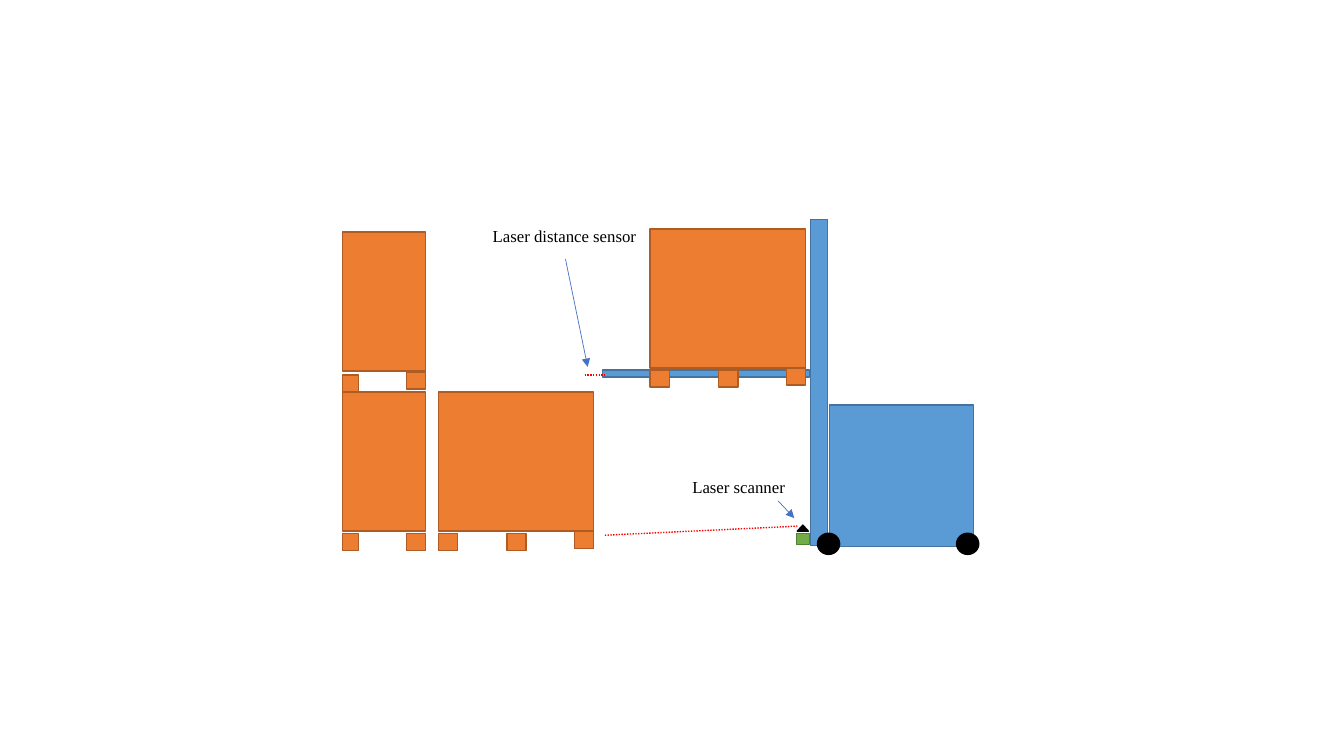
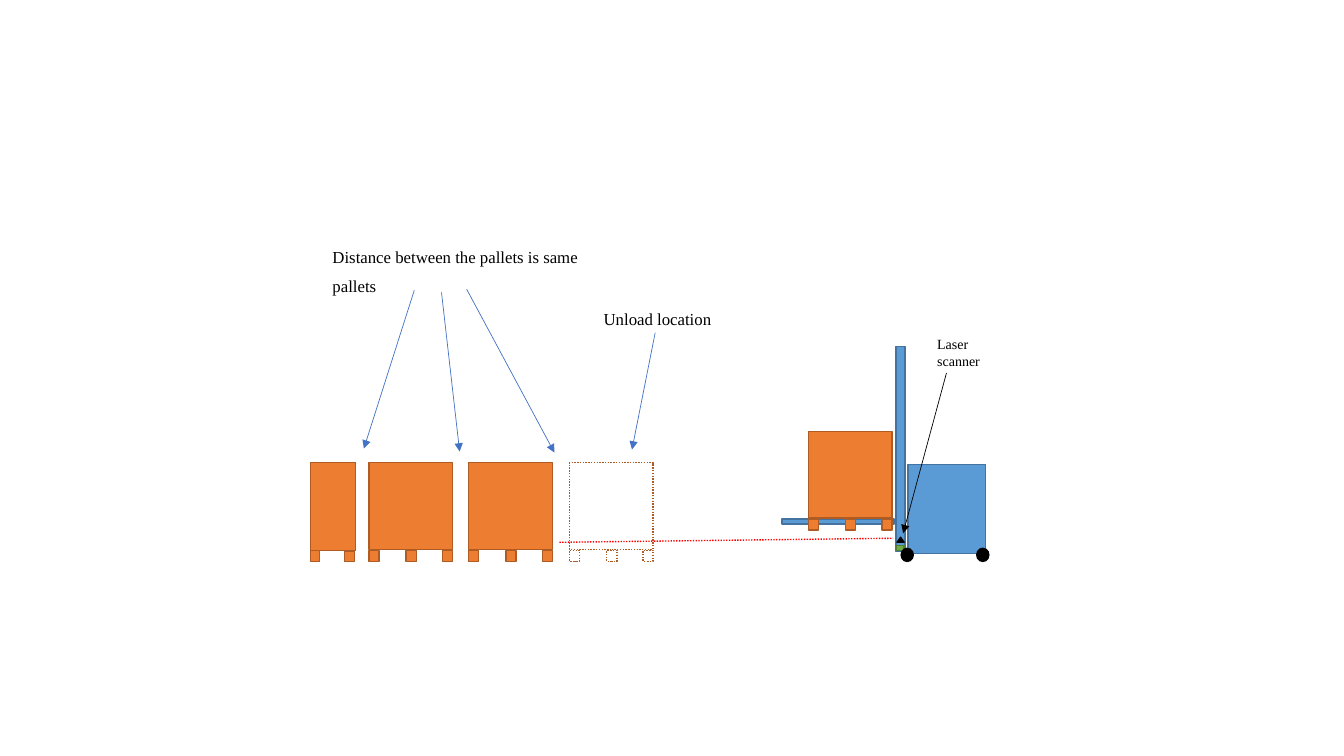
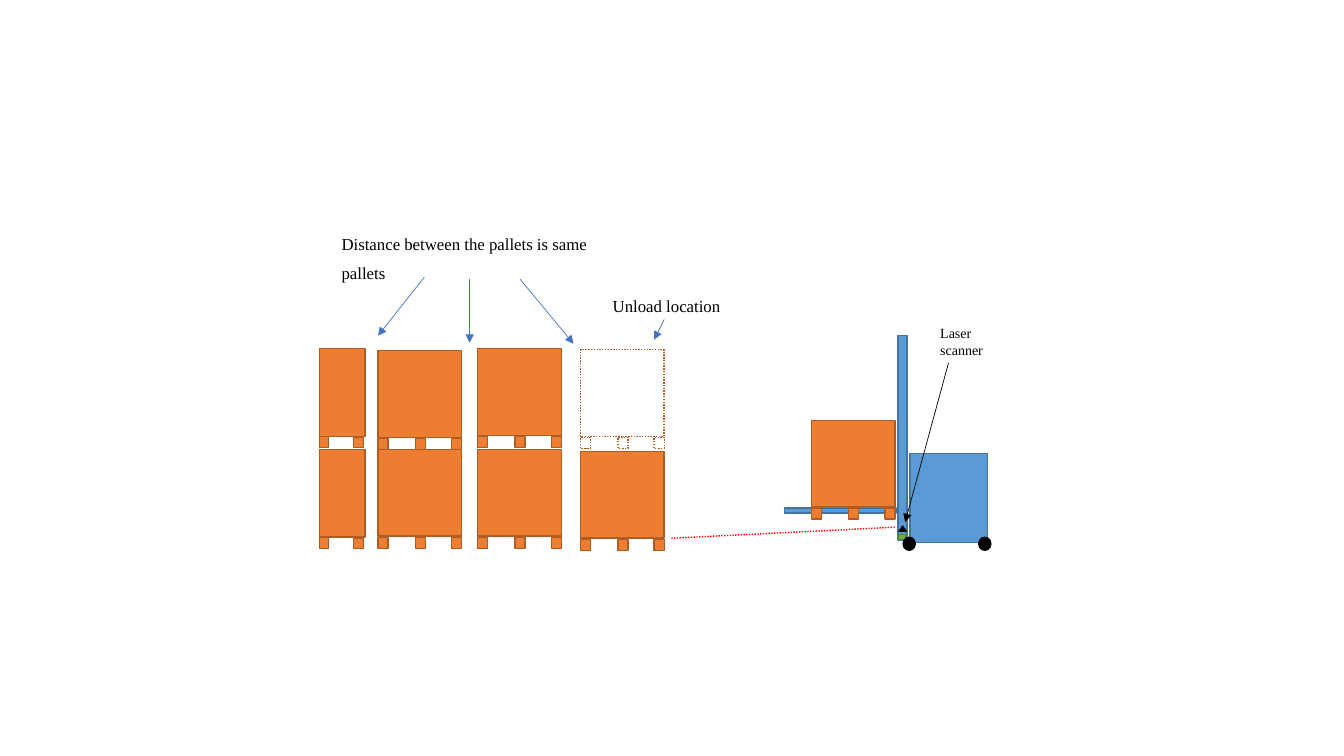
from lxml.etree import SubElement
from pptx import Presentation
from pptx.dml.color import RGBColor
from pptx.enum.dml import MSO_LINE
from pptx.enum.shapes import MSO_CONNECTOR, MSO_SHAPE
from pptx.oxml.ns import qn
from pptx.util import Inches, Pt

PX = 9144  # EMU in one px, a hundredth of an inch
FONT = "Times New Roman"
COLORS = {
    "orange": "ED7D31", "brown": "AF5C24",
    "blue": "5B9BD5", "steel": "43739E",
    "green": "70AD47", "moss": "538035",
    "black": "000000", "white": "FFFFFF",
    "red": "FF0000", "arrow": "4472C4",
}
RGB = {name: RGBColor.from_string(value) for name, value in COLORS.items()}

# fill, outline, dash
STYLES = {
    "pallet": ("orange", "brown", None),
    "vacant": ("white", "brown", MSO_LINE.ROUND_DOT),
    "truck": ("blue", "steel", None),
    "scanner": ("green", "moss", None),
    "black": ("black", "black", None),
}
# colour, width in points, dash, arrowhead
LINE_STYLES = {
    "laser": ("red", 1, MSO_LINE.ROUND_DOT, False),
    "pointer": ("arrow", 0.5, None, True),
    "black pointer": ("black", 0.5, None, True),
}
RECTANGLE, OVAL, TRIANGLE = MSO_SHAPE.RECTANGLE, MSO_SHAPE.OVAL, MSO_SHAPE.ISOSCELES_TRIANGLE

# Every stencil lists: preset, style, left, top, width, height from its own corner
STENCILS = {}
for name, boxes in {
    "large pallet": [(0, 0, 154, 138), (0, 140, 19, 17), (68, 140, 19, 17), (135, 138, 19, 17)],
    "large half pallet": [(0, 0, 82, 138), (0, 140, 16, 17), (63, 140, 19, 17)],
    "raised half pallet": [(0, 0, 82, 138), (0, 142, 16, 17), (63, 139, 19, 17)],
    "small pallet": [(0, 0, 83, 86), (0, 87, 10, 11), (37, 87, 10, 11), (73, 87, 10, 11)],
    "small half pallet": [(0, 0, 45, 87), (0, 87, 9, 11), (34, 88, 10, 10)],
}.items():
    STENCILS[name] = [(RECTANGLE, "pallet", *box) for box in boxes]
STENCILS["vacant pallet"] = [
    (preset, "vacant", *box) for preset, style, *box in STENCILS["small pallet"]
]

TRUCK_PARTS = [
    (RECTANGLE, "truck"),    # fork
    (RECTANGLE, "truck"),    # mast
    (RECTANGLE, "truck"),    # cab
    (RECTANGLE, "scanner"),  # scanner body
    (TRIANGLE, "black"),     # scanner head
    (OVAL, "black"),         # front wheel
    (OVAL, "black"),         # rear wheel
]
for name, boxes in {
    "large truck": [(0, 149, 205, 7), (206, 0, 17, 323), (225, 184, 143, 140), (192, 311, 13, 11),
                    (193, 303, 11, 6), (213, 311, 22, 21), (351, 311, 22, 21)],
    "small truck": [(0, 171, 111, 5), (113, 0, 9, 203), (125, 117, 77, 88), (113, 197, 8, 5),
                    (114, 189, 7, 5), (118, 200, 12, 13), (193, 200, 12, 13)],
}.items():
    STENCILS[name] = [(*part, *box) for part, box in zip(TRUCK_PARTS, boxes)]

DISTANCE_LINES = ["Distance between the pallets is same", "pallets"]

# stencils: name, left, top; labels: lines, box, size, wrap; lines: style, from, to
SLIDES = [
    {
        "stencils": [
            ("large pallet", 435, 389), ("large truck", 598, 218), ("large pallet", 645, 227),
            ("large half pallet", 340, 389), ("raised half pallet", 340, 230),
        ],
        "labels": [
            (["Laser distance sensor"], (479, 219, 164, 38), 12, False),
            (["Laser scanner"], (677, 468, 113, 31), 12, False),
        ],
        "lines": [
            ("laser", (580, 372), (600, 372)),
            ("pointer", (561, 257), (583, 364)),
            ("laser", (600, 531), (791, 522)),
            ("pointer", (772, 497), (788, 514)),
        ],
    },
    {
        "stencils": [
            ("small half pallet", 308, 459), ("small pallet", 366, 459),
            ("small pallet", 465, 459), ("vacant pallet", 565, 459),
            ("small truck", 776, 344), ("small pallet", 802, 428),
        ],
        "labels": [
            (DISTANCE_LINES, (320, 240, 265, 37), 12, False),
            (["Unload location"], (589, 301, 128, 35), 12, False),
            (["Laser scanner"], (920, 328, 64, 44), 10, True),
        ],
        "lines": [
            ("pointer", (411, 288), (361, 445)),
            ("pointer", (438, 290), (456, 448)),
            ("pointer", (463, 287), (550, 449)),
            ("pointer", (650, 330), (627, 446)),
            ("laser", (555, 538), (886, 534)),
            ("black pointer", (939, 370), (896, 529)),
        ],
    },
    {
        "stencils": [
            ("small half pallet", 317, 446), ("small pallet", 375, 446),
            ("small pallet", 474, 446), ("small pallet", 576, 448),
            ("small half pallet", 317, 346), ("small pallet", 375, 348),
            ("small pallet", 474, 346), ("vacant pallet", 576, 347),
            ("small truck", 778, 333), ("small pallet", 805, 417),
        ],
        "labels": [
            (DISTANCE_LINES, (329, 227, 265, 37), 12, False),
            (["Unload location"], (598, 288, 128, 35), 12, False),
            (["Laser scanner"], (923, 317, 64, 44), 10, True),
        ],
        "lines": [
            ("pointer", (421, 275), (375, 333)),
            ("pointer", (466, 277), (466, 340)),
            ("pointer", (516, 277), (569, 341)),
            ("pointer", (659, 317), (649, 337)),
            ("laser", (666, 534), (888, 523)),
            ("black pointer", (941, 360), (898, 518)),
        ],
    },
]


def add_text(slide, lines, box, size=12, wrap=False, color="black", fill="white"):
    shape = slide.shapes.add_textbox(*(value * PX for value in box))
    shape.fill.solid()
    shape.fill.fore_color.rgb = RGB[fill]
    frame = shape.text_frame
    frame.word_wrap = wrap
    frame.text = "\n".join(lines)
    for paragraph in frame.paragraphs:
        paragraph.space_after = Pt(6)
        paragraph.font.name = FONT
        paragraph.font.size = Pt(size)
        paragraph.font.color.rgb = RGB[color]
    return shape


presentation = Presentation()
presentation.slide_width = Inches(40 / 3)
presentation.slide_height = Inches(7.5)
blank_layout = presentation.slide_layouts[6]

for content in SLIDES:
    slide = presentation.slides.add_slide(blank_layout)

    for name, origin_x, origin_y in content["stencils"]:
        for preset, style, left, top, width, height in STENCILS[name]:
            fill, outline, dash = STYLES[style]
            shape = slide.shapes.add_shape(
                preset, (origin_x + left) * PX, (origin_y + top) * PX, width * PX, height * PX
            )
            shape.shadow.inherit = False
            shape.fill.solid()
            shape.fill.fore_color.rgb = RGB[fill]
            shape.line.color.rgb = RGB[outline]
            shape.line.width = Pt(1)
            if dash:
                shape.line.dash_style = dash

    label_bottoms = {}
    for lines, box, size, wrap in content["labels"]:
        left, top, width, height = box
        label = add_text(slide, lines, box, size=size, wrap=wrap)
        label_bottoms[left + width // 2, top + height] = label

    for style, start, end in content["lines"]:
        color, width, dash, has_arrow = LINE_STYLES[style]
        connector = slide.shapes.add_connector(
            MSO_CONNECTOR.STRAIGHT, *(value * PX for value in start + end)
        )
        if start in label_bottoms:
            connector.begin_connect(label_bottoms[start], 2)
        connector.line.color.rgb = RGB[color]
        connector.line.width = Pt(width)
        if dash:
            connector.line.dash_style = dash
        properties = connector.element.spPr
        if has_arrow:
            SubElement(properties.find(qn("a:ln")), qn("a:tailEnd"), type="triangle")
        SubElement(properties, qn("a:effectLst"))

presentation.save("out.pptx")
